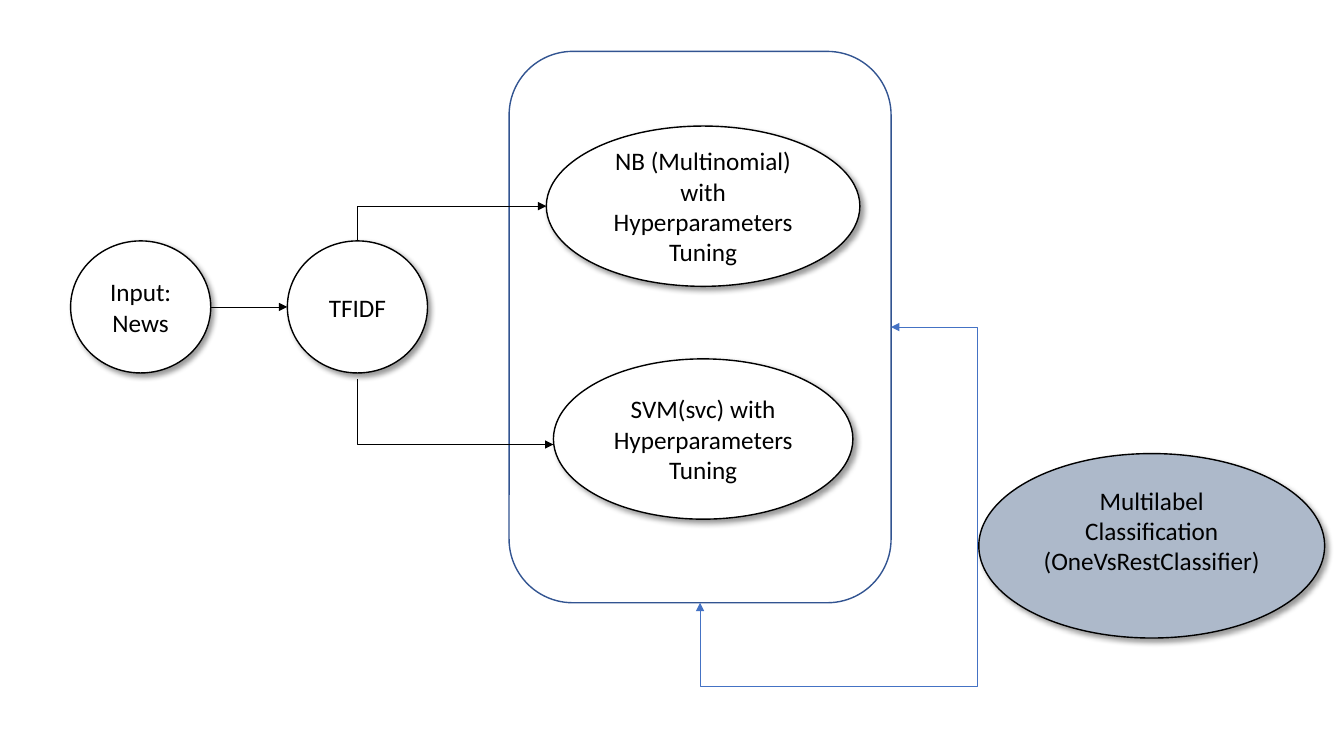
from dataclasses import dataclass

from lxml.etree import SubElement
from pptx import Presentation
from pptx.dml.color import RGBColor
from pptx.enum.shapes import MSO_CONNECTOR as Link, MSO_SHAPE as Preset
from pptx.enum.text import MSO_ANCHOR, PP_ALIGN
from pptx.oxml.ns import qn
from pptx.util import Inches, Pt

BLACK, WHITE, GREY_BLUE = "000000", "FFFFFF", "ADB9CA"
NAVY, BLUE = "325491", "4472C4"

deck = Presentation()
deck.slide_width, deck.slide_height = Inches(13.33), Inches(7.5)
slide = deck.slides.add_slide(deck.slide_layouts[6])


# Positions and sizes are percentages of the slide's width and height.
def across(share: float) -> int:
    return round(deck.slide_width * share / 100)


def down(share: float) -> int:
    return round(deck.slide_height * share / 100)


def colour(hex_code: str) -> RGBColor:
    return RGBColor.from_string(hex_code)


@dataclass(frozen=True)
class Box:
    left: float
    top: float
    width: float
    height: float
    text: str = ""
    fill: str = WHITE
    line: str = BLACK
    preset: Preset = Preset.FLOWCHART_CONNECTOR
    lift: float = 0  # extra bottom inset, in inches

    @property
    def right(self) -> float:
        return self.left + self.width

    @property
    def bottom(self) -> float:
        return self.top + self.height

    @property
    def centre(self) -> float:
        return self.left + self.width / 2

    @property
    def middle(self) -> float:
        return self.top + self.height / 2


@dataclass(frozen=True)
class Arrow:
    start: tuple[float, float]
    end: tuple[float, float]
    heads: tuple[str, ...]  # headEnd sits at the start, tailEnd at the end
    line: str = BLACK
    preset: str = "line"
    bends: tuple[int, ...] = ()


def draw_box(box: Box) -> None:
    shape = slide.shapes.add_shape(box.preset, across(box.left), down(box.top),
                                   across(box.width), down(box.height))
    shape.shadow.inherit = False
    shape.fill.solid()
    shape.fill.fore_color.rgb = colour(box.fill)
    shape.line.color.rgb = colour(box.line)
    shape.line.width = Pt(1)
    if not box.text:
        return

    # Soft shadow towards the lower right
    effects = shape._element.spPr.find(qn("a:effectLst"))
    shadow = SubElement(effects, qn("a:outerShdw"), blurRad=str(Pt(4)), dist=str(Pt(3)),
                        dir="2700000", algn="tl", rotWithShape="0")
    tint = SubElement(shadow, qn("a:srgbClr"), val=BLACK)
    SubElement(tint, qn("a:alpha"), val="40000")

    frame = shape.text_frame
    frame.text = box.text
    frame.word_wrap = True
    frame.vertical_anchor = MSO_ANCHOR.MIDDLE
    frame.margin_bottom = Inches(0.05 + box.lift)
    for paragraph in frame.paragraphs:
        paragraph.alignment = PP_ALIGN.CENTER
        for run in paragraph.runs:
            run.font.name, run.font.size = "Calibri", Pt(18)
            run.font.color.rgb = colour(BLACK)


def draw_arrow(arrow: Arrow) -> None:
    (x1, y1), (x2, y2) = arrow.start, arrow.end
    kind = Link.STRAIGHT if arrow.preset == "line" else Link.ELBOW
    link = slide.shapes.add_connector(kind, across(x1), down(y1), across(x2), down(y2))
    link.line.color.rgb = colour(arrow.line)
    link.line.width = Pt(0.5)
    properties = link._element.spPr
    outline = link.line._get_or_add_ln()
    for head in arrow.heads:
        SubElement(outline, qn(f"a:{head}"), type="triangle")
    SubElement(properties, qn("a:effectLst"))

    # Route of the bends
    geometry = properties.find(qn("a:prstGeom"))
    geometry.set("prst", arrow.preset)
    guides = geometry.find(qn("a:avLst"))
    if guides is None:
        guides = SubElement(geometry, qn("a:avLst"))
    for number, bend in enumerate(arrow.bends, start=1):
        SubElement(guides, qn("a:gd"), name=f"adj{number}", fmla=f"val {bend}")


# Stages of the classifier
models = Box(37.88, 6.8, 28.42, 72.93, line=NAVY, preset=Preset.ROUNDED_RECTANGLE)
news = Box(5.25, 31.87, 10.43, 17.47, "Input: News")
tfidf = Box(21.38, news.top, news.width, news.height, "TFIDF")
bayes = Box(40.65, 16.67, 23.33, 21.2, "NB (Multinomial) with Hyperparameters Tuning")
svm = Box(41.18, 47.47, 22.28, bayes.height, "SVM(svc) with Hyperparameters Tuning")
multilabel = Box(72.83, 60, 25.73, 24.4,
                 "Multilabel Classification\n(OneVsRestClassifier)", GREY_BLUE, lift=0.3)

for stage in (models, news, tfidf, bayes, multilabel, svm):
    draw_box(stage)

# Flow between the stages
for flow in (
    Arrow((news.right, news.middle), (tfidf.left, tfidf.middle), ("tailEnd",)),
    Arrow((bayes.left, bayes.middle), (tfidf.centre, tfidf.top), ("headEnd",),
          preset="bentConnector2"),
    Arrow((svm.left, 58.8), (tfidf.centre, 50.13), ("headEnd",), preset="bentConnector2"),
    Arrow((models.right, models.middle), (models.centre, models.bottom),
          ("headEnd", "tailEnd"), BLUE, "bentConnector4", (-45100, 130300)),
):
    draw_arrow(flow)

deck.save("out.pptx")
